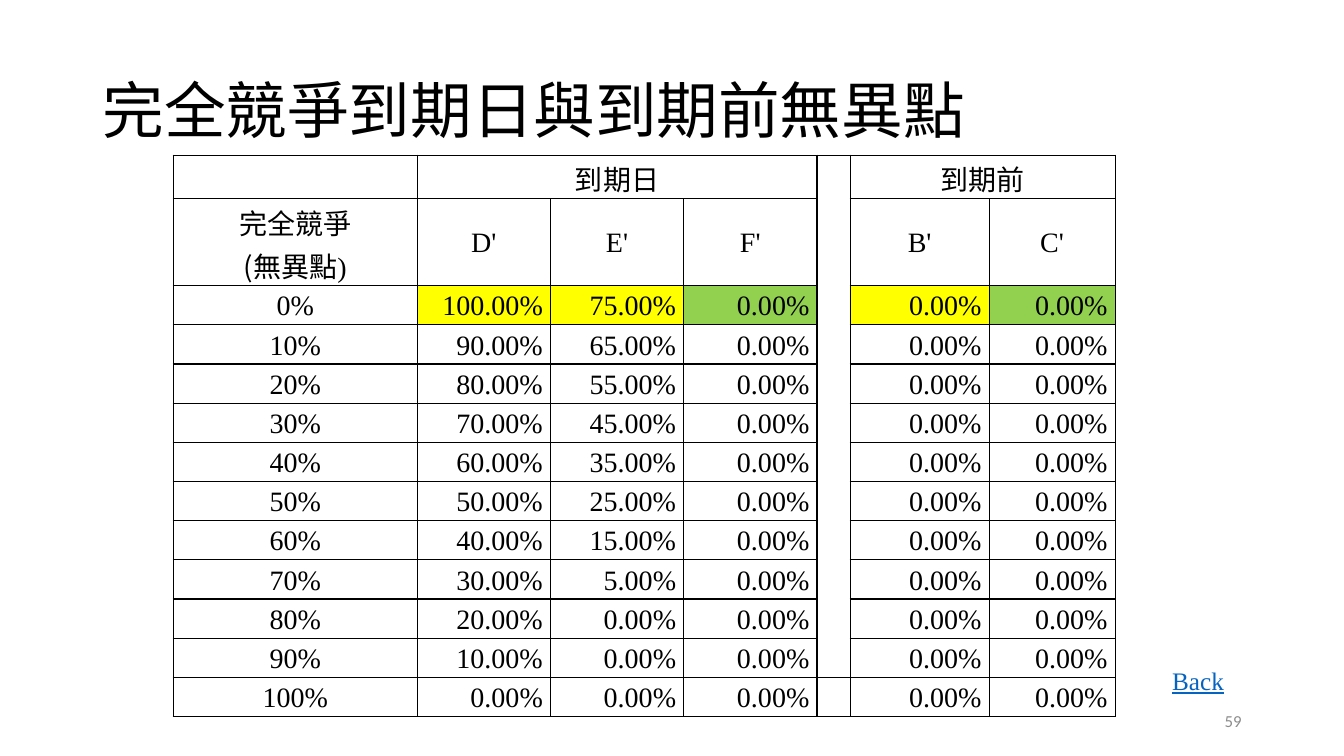
from dataclasses import dataclass

from lxml.etree import SubElement
from pptx import Presentation
from pptx.dml.color import RGBColor
from pptx.enum.text import MSO_ANCHOR as Anchor, PP_ALIGN as Align
from pptx.oxml.ns import qn
from pptx.util import Pt

COLORS = {"black": "000000", "yellow": "FFFF00", "green": "92D050",
          "gray": "8C8C8C", "link": "0563C1"}
SERIF, CJK = "Times New Roman", "Noto Sans CJK SC"


@dataclass(frozen=True)
class Strategy:
    label: str
    column: int
    start: int  # percentage where perfect competition is 0%
    highlight: str


@dataclass(frozen=True)
class Span:
    first: tuple[int, int]
    last: tuple[int, int]
    heading: str = ""


STRATEGIES = [
    Strategy("D'", 1, 100, "yellow"),
    Strategy("E'", 2, 75, "yellow"),
    Strategy("F'", 3, 0, "green"),
    Strategy("B'", 5, 0, "yellow"),
    Strategy("C'", 6, 0, "green"),
]
SPANS = [
    Span((0, 1), (0, 3), "到期日"),
    Span((0, 4), (11, 4)),
    Span((0, 5), (0, 6), "到期前"),
]
LEVELS = range(0, 101, 10)
COLUMN_WIDTHS = [174.2, 95.2, 95.2, 95.2, 23.8, 99.2, 90]
ROW_HEIGHTS = [28, 52.6] + [28] * len(LEVELS)


def add_text(paragraph, text: str, *, size: float = 20, font: str = SERIF,
             color: str = "black", align=Align.LEFT, spacing: float = 1.0,
             underline: bool = False) -> None:
    """Append a formatted run to the paragraph."""
    paragraph.alignment = align
    paragraph.line_spacing = spacing
    run = paragraph.add_run()
    run.text = text
    run.font.size = Pt(size)
    run.font.color.rgb = RGBColor.from_string(COLORS[color])
    run.font.name = font
    if underline:
        run.font.underline = True
    SubElement(run._r.get_or_add_rPr(), qn("a:ea"), typeface=CJK)


def draw_borders(cell) -> None:
    properties = cell._tc.get_or_add_tcPr()
    for position, side in enumerate(("lnL", "lnR", "lnT", "lnB")):
        line = SubElement(properties, qn(f"a:{side}"), w=str(Pt(1)))
        fill = SubElement(line, qn("a:solidFill"))
        SubElement(fill, qn("a:srgbClr"), val=COLORS["black"])
        properties.insert(position, line)


def fill_cell(cell, *lines: list[tuple[str, str]], align=Align.CENTER) -> None:
    """Write lines, each a list of (text, font) pieces."""
    frame = cell.text_frame
    for number, pieces in enumerate(lines):
        paragraph = frame.add_paragraph() if number else frame.paragraphs[0]
        for text, font in pieces:
            add_text(paragraph, text, font=font, align=align, spacing=1.07)


def add_indifference_table(slide) -> None:
    table = slide.shapes.add_table(
        len(ROW_HEIGHTS), len(COLUMN_WIDTHS), Pt(123.8), Pt(110.9),
        Pt(sum(COLUMN_WIDTHS)), Pt(sum(ROW_HEIGHTS))).table
    table.first_row = table.horz_banding = False
    for column, width in zip(table.columns, COLUMN_WIDTHS):
        column.width = Pt(width)
    for row, height in zip(table.rows, ROW_HEIGHTS):
        row.height = Pt(height)

    for cell in table.iter_cells():
        cell.margin_left = cell.margin_right = Pt(5.4)
        cell.margin_top = cell.margin_bottom = Pt(0)
        cell.vertical_anchor = Anchor.MIDDLE
        cell.fill.background()
        draw_borders(cell)
    for span in SPANS:
        heading = table.cell(*span.first)
        heading.merge(table.cell(*span.last))
        if span.heading:
            fill_cell(heading, [(span.heading, SERIF)])

    fill_cell(table.cell(1, 0), [("完全競爭", SERIF)],
              [("(", CJK), ("無異點)", SERIF)])
    for strategy in STRATEGIES:
        fill_cell(table.cell(1, strategy.column), [(strategy.label, SERIF)])
    for row, level in enumerate(LEVELS, start=2):
        fill_cell(table.cell(row, 0), [(f"{level}%", SERIF)])
        for strategy in STRATEGIES:
            cell = table.cell(row, strategy.column)
            share = max(strategy.start - level, 0)
            fill_cell(cell, [(f"{share:.2f}%", SERIF)], align=Align.RIGHT)
            if level == 0:
                cell.fill.solid()
                cell.fill.fore_color.rgb = RGBColor.from_string(
                    COLORS[strategy.highlight])


def add_title(slide) -> None:
    title = slide.shapes.title
    title.left, title.top = Pt(66), Pt(28.8)
    title.width, title.height = Pt(828), Pt(104.4)
    title.text_frame.vertical_anchor = Anchor.MIDDLE
    add_text(title.text_frame.paragraphs[0], "完全競爭到期日與到期前無異點",
             size=44, spacing=0.9)


def add_label(slide, text: str, left: float, top: float, width: float,
              anchor=Anchor.TOP, wrap: bool = True, **text_format) -> None:
    frame = slide.shapes.add_textbox(
        Pt(left), Pt(top), Pt(width), Pt(28.8)).text_frame
    frame.word_wrap = wrap
    frame.vertical_anchor = anchor
    add_text(frame.paragraphs[0], text, **text_format)


def main() -> None:
    deck = Presentation()
    deck.slide_width, deck.slide_height = Pt(960), Pt(540)
    slide = deck.slides.add_slide(deck.slide_layouts.get_by_name("Title Only"))
    add_title(slide)
    add_indifference_table(slide)
    add_label(slide, "59", 678, 500.4, 216, anchor=Anchor.MIDDLE, size=12,
              font="Calibri", color="gray", align=Align.RIGHT)
    add_label(slide, "Back", 830.2, 471.6, 51.8, wrap=False, size=18,
              color="link", underline=True)
    deck.save("out.pptx")


if __name__ == "__main__":
    main()
